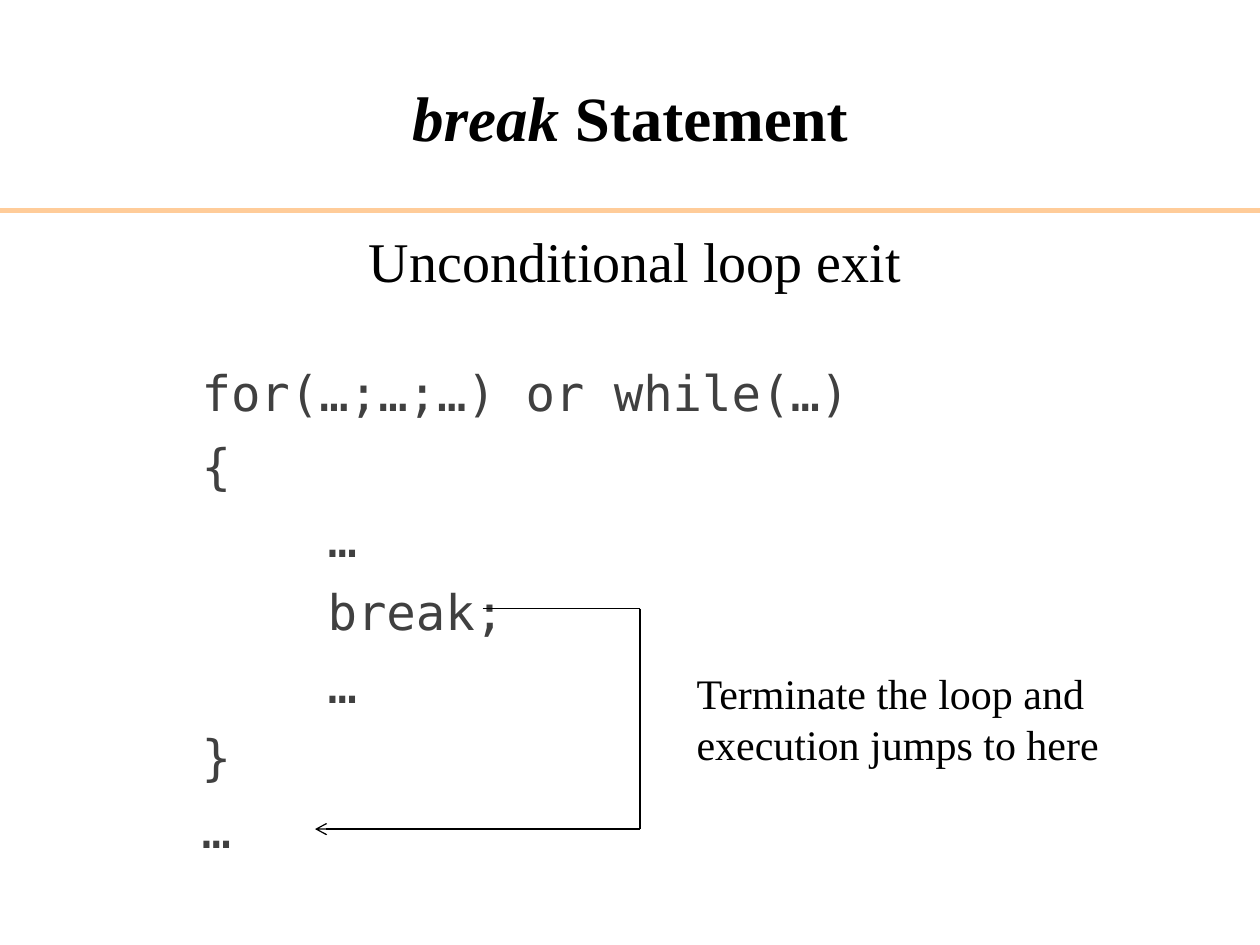
from lxml.etree import SubElement
from pptx import Presentation
from pptx.dml.color import RGBColor
from pptx.enum.shapes import MSO_CONNECTOR
from pptx.enum.text import MSO_ANCHOR, MSO_AUTO_SIZE, PP_ALIGN
from pptx.oxml.ns import qn
from pptx.util import Inches, Pt

BLACK = RGBColor(0x00, 0x00, 0x00)
GREY = RGBColor(0x40, 0x40, 0x40)
PEACH = RGBColor(0xFF, 0xCC, 0x99)
SERIF = "Times New Roman"
MONO = "DejaVu Sans Mono"


def write(para, text, size=24, face=SERIF, color=BLACK, bold=False, slant=False):
    run = para.add_run()
    run.text = text
    font = run.font
    font.name, font.size = face, Pt(size)
    font.bold, font.italic = bold, slant
    font.color.rgb = color


def rule(start, end, color=BLACK, width=0.75):
    line = slide.shapes.add_connector(
        MSO_CONNECTOR.STRAIGHT, *[Inches(n) for n in start + end])
    line.line.color.rgb = color
    line.line.width = Pt(width)
    SubElement(line._element.spPr, qn("a:effectLst"))
    return line


deck = Presentation()
deck.slide_width, deck.slide_height = Inches(10), Inches(7.5)
slide = deck.slides.add_slide(deck.slide_layouts[1])
title, body = slide.placeholders

# Title and the rule below it
title.left, title.top = Inches(0.5), Inches(0.3)
title.width, title.height = Inches(9), Inches(1.25)
frame = title.text_frame
frame.auto_size = MSO_AUTO_SIZE.NONE
frame.vertical_anchor = MSO_ANCHOR.MIDDLE
para = frame.paragraphs[0]
para.alignment = PP_ALIGN.CENTER
write(para, "break", size=36, bold=True, slant=True)
write(para, " Statement", size=36, bold=True)
rule((0, 1.67), (10, 1.67), PEACH, 3)

# Code, each line with its indent in inches
code = [(1, "for(…;…;…) or while(…)"), (1, "{"), (2, "…"), (2, "break;"),
        (2, "…"), (1, "}"), (1, "…")]
body.left, body.top = Inches(0.5), Inches(2.83)
body.width, body.height = Inches(9), Inches(5.25)
frame = body.text_frame
frame.auto_size = MSO_AUTO_SIZE.NONE
for i, (dent, text) in enumerate(code):
    para = frame.add_paragraph() if i else frame.paragraphs[0]
    para.space_before = Pt(8 if i else 0)
    props = para._p.get_or_add_pPr()
    props.set("marL", str(Inches(dent)))
    props.set("indent", "0")
    SubElement(props, qn("a:buNone"))
    write(para, text, size=28, face=MONO, color=GREY)

# Jump from break to the line after the loop
stops = [(3.83, 4.83), (5.08, 4.83), (5.08, 6.58), (2.5, 6.58)]
for start, end in zip(stops, stops[1:]):
    line = rule(start, end)
SubElement(line.line._get_or_add_ln(), qn("a:tailEnd"), type="arrow")

# Captions
notes = [
    ((5.43, 5.25, 4.15, 0.9), "Terminate the loop and execution jumps to here", 24),
    ((2.83, 1.75, 6.08, 0.64), "Unconditional loop exit", 32),
]
for place, text, size in notes:
    frame = slide.shapes.add_textbox(*[Inches(n) for n in place]).text_frame
    frame.word_wrap = True
    frame.auto_size = MSO_AUTO_SIZE.SHAPE_TO_FIT_TEXT
    write(frame.paragraphs[0], text, size=size)

deck.save("out.pptx")
